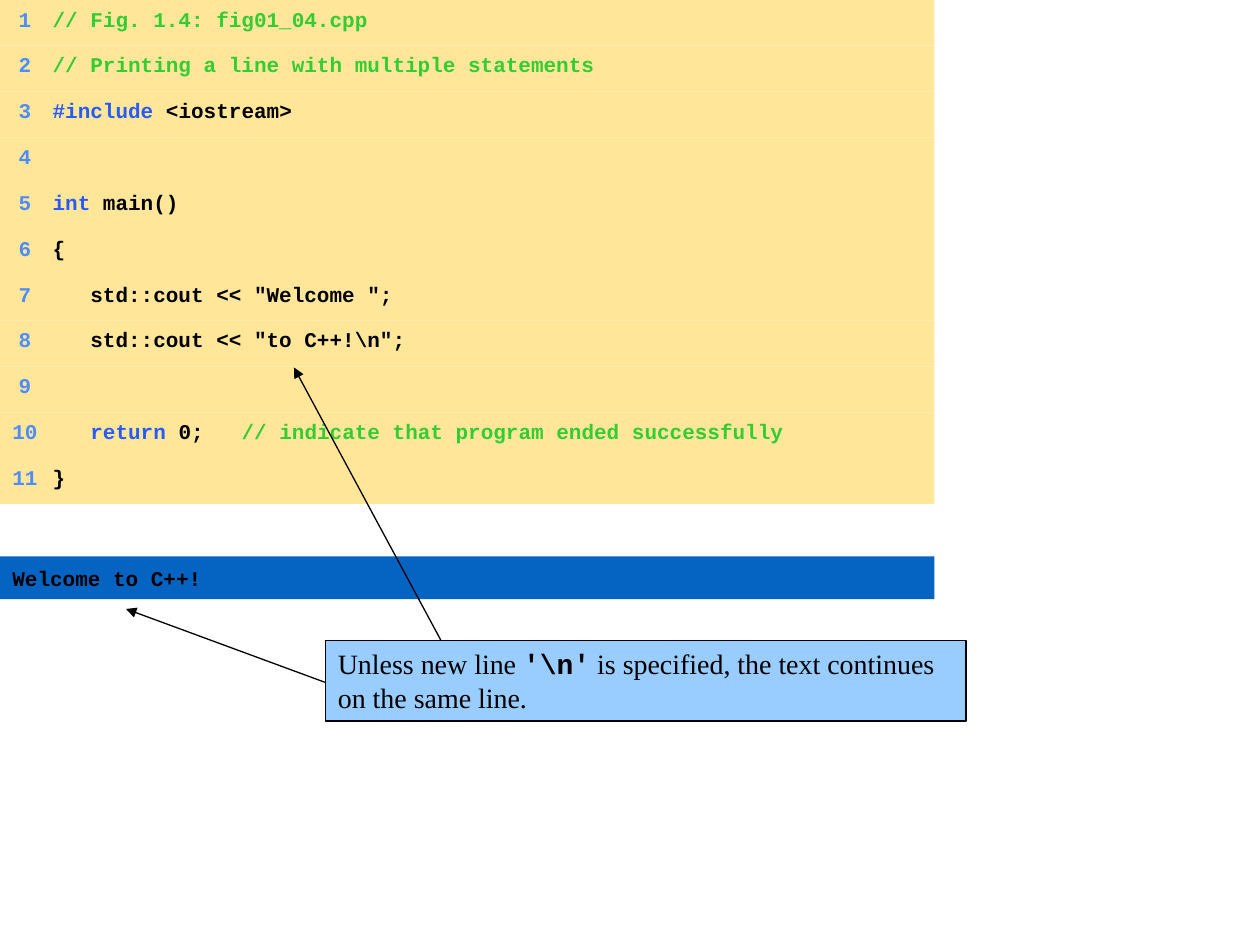
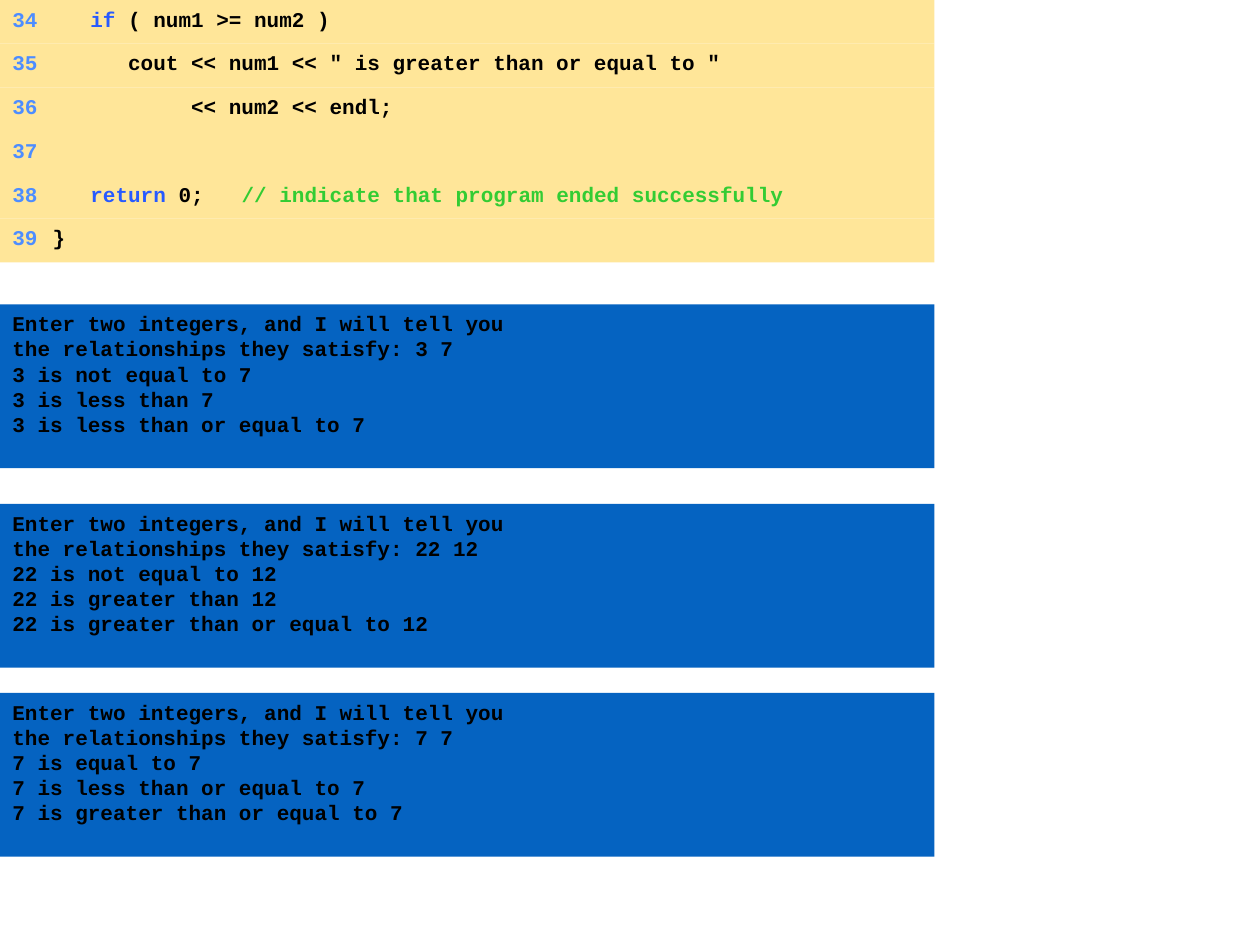
from lxml.etree import SubElement as Sub
from pptx import Presentation
from pptx.dml.color import RGBColor as RGB
from pptx.enum.shapes import MSO_CONNECTOR as LINK, MSO_SHAPE as SHAPE
from pptx.enum.text import MSO_ANCHOR as ANCHOR, PP_ALIGN as ALIGN
from pptx.oxml.ns import qn
from pptx.util import Pt

CREAM, BLUE, SKY, BLACK = "FFE699", "0563C1", "99CCFF", "000000"
NUMBER, KEY, NOTE = "4D8DFF", "275AFF", "33CC33"
CODE, SERIF = "Courier New", "Times New Roman"
WIDTH = 534  # shared by listings and output panels
KEYS = {"#include", "int", "return", "if"}


def paint(target, color):
    """Set a hex colour on a font, a line or a fill."""
    if hasattr(target, "solid"):
        target.solid()
        target.fore_color.rgb = RGB.from_string(color)
    else:
        target.color.rgb = RGB.from_string(color)


def panel(shapes, box, fill, top=3.6):
    """Draw a filled box and return it, ready for text."""
    shape = shapes.add_shape(SHAPE.RECTANGLE, *map(Pt, box))
    shape.shadow.inherit = False
    paint(shape.fill, fill)
    shape.line.fill.background()
    frame = shape.text_frame
    frame.word_wrap = True
    frame.vertical_anchor = ANCHOR.TOP
    frame.margin_left = frame.margin_right = Pt(7.2)
    frame.margin_top, frame.margin_bottom = Pt(top), Pt(3.6)
    return shape


def style(para, size, name=None, bold=None, color=None):
    para.alignment = ALIGN.LEFT
    para.font.size = Pt(size)
    para.font.name = name
    para.font.bold = bold
    if color:
        paint(para.font, color)


def add_run(para, text, color=None):
    run = para.add_run()
    run.text = text
    if color:
        paint(run.font, color)
    return run


def set_tabs(para, stops):
    tabs = Sub(para._p.get_or_add_pPr(), qn("a:tabLst"))
    for pos, side in stops:
        Sub(tabs, qn("a:tab"), pos=str(Pt(pos)), algn=side)


def split(line):
    """Yield coloured pieces: leading keyword, plain code, comment."""
    code, mark, note = line.partition("//")
    word = code.split()[0] if code.strip() else ""
    if word in KEYS:
        end = code.index(word) + len(word)
        yield code[:end], KEY
        code = code[end:]
    yield code, BLACK
    yield mark + note, NOTE


def listing(slide, box, first, lines):
    """Stack numbered code lines evenly in the box."""
    left, top, width, height = box
    step = height / len(lines)
    group = slide.shapes.add_group_shape()
    for i, line in enumerate(lines):
        row = panel(group.shapes, (left, top + i * step, width, step), CREAM)
        para = row.text_frame.paragraphs[0]
        set_tabs(para, [(10.8, "r"), (23, "l")])
        style(para, 12, CODE, True)
        add_run(para, f"\t{first + i}\t", NUMBER)
        for text, color in split(line):
            if text:
                add_run(para, text, color)


def output(slide, box, lines, top=3.6):
    """Show what the program prints."""
    frame = panel(slide.shapes, box, BLUE, top).text_frame
    for i, line in enumerate(lines):
        para = frame.add_paragraph() if i else frame.paragraphs[0]
        style(para, 12, CODE, True, BLACK)
        add_run(para, line)


def arrow(shapes, start, end):
    link = shapes.add_connector(LINK.STRAIGHT, *map(Pt, start + end))
    paint(link.line, BLACK)
    link.line.width = Pt(0.75)
    Sub(link.line._get_or_add_ln(), qn("a:tailEnd"), type="triangle")
    Sub(link._element.spPr, qn("a:effectLst"))


def callout(slide, box, parts, links):
    """Place a note; links run from an offset in the box to a target."""
    left, top = box[:2]
    group = slide.shapes.add_group_shape()
    note = panel(group.shapes, box, SKY)
    paint(note.line, BLACK)
    note.line.width = Pt(0.75)
    para = note.text_frame.paragraphs[0]
    style(para, 16, color=BLACK)
    for text, name in parts:
        run = add_run(para, text)
        run.font.name = name
        run.font.bold = name == CODE
    for (dx, dy), end in links:
        arrow(group.shapes, (left + dx, top + dy), end)


WELCOME = [
    "// Fig. 1.4: fig01_04.cpp",
    "// Printing a line with multiple statements",
    "#include <iostream>",
    "",
    "int main()",
    "{",
    '   std::cout << "Welcome ";',
    '   std::cout << "to C++!\\n";',
    "",
    "   return 0;   // indicate that program ended successfully",
    "}",
]
COMPARE = [
    "   if ( num1 >= num2 )",
    '      cout << num1 << " is greater than or equal to "',
    "           << num2 << endl;",
    "",
    "   return 0;   // indicate that program ended successfully",
    "}",
]
# Top of each panel, the two integers, and the relations found
TRIALS = [
    (174, 3, 7, ["not equal to", "less than", "less than or equal to"]),
    (288, 22, 12, ["not equal to", "greater than", "greater than or equal to"]),
    (396, 7, 7, ["equal to", "less than or equal to", "greater than or equal to"]),
]


def welcome(slide):
    output(slide, (0, 318, WIDTH, 24.5), ["Welcome to C++!"], top=5)
    listing(slide, (0, 0, WIDTH, 288), 1, WELCOME)
    callout(
        slide, (186, 366, 366, 46),
        [("Unless new line ", SERIF), ("'\\n'", CODE),
         (" is specified, the text continues on the same line.", SERIF)],
        [((0, 24), (72, 348)), ((66, 0), (168, 210))],
    )


def compare(slide):
    listing(slide, (0, 0, WIDTH, 150), 34, COMPARE)
    for top, a, b, found in TRIALS:
        lines = ["Enter two integers, and I will tell you",
                 f"the relationships they satisfy: {a} {b}"]
        lines += [f"{a} is {how} {b}" for how in found]
        output(slide, (0, top, WIDTH, 93.6), lines)


def main():
    deck = Presentation()
    deck.slide_width, deck.slide_height = Pt(720), Pt(540)
    for build in (welcome, compare):
        build(deck.slides.add_slide(deck.slide_layouts[6]))
    deck.save("out.pptx")


if __name__ == "__main__":
    main()
